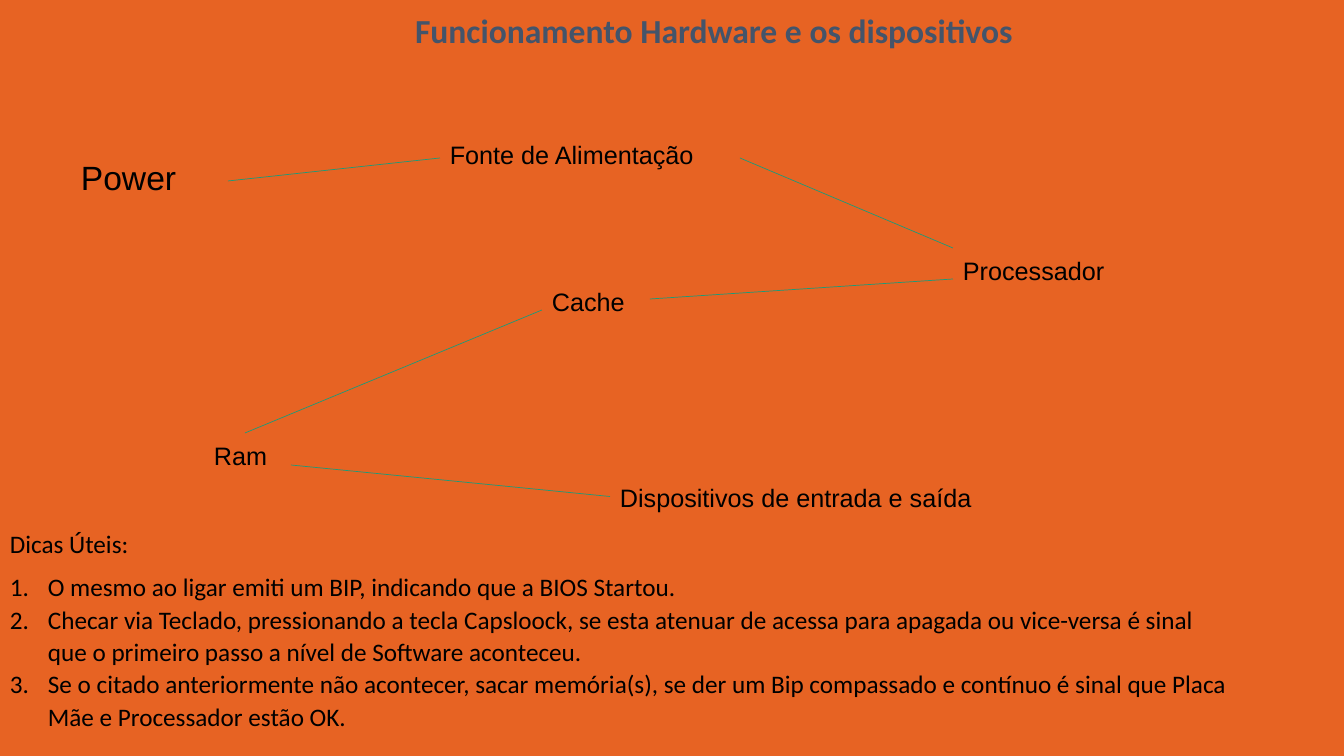
"""Build the slide on how hardware and its devices work."""
from lxml.etree import SubElement
from pptx import Presentation
from pptx.dml.color import RGBColor as RGB
from pptx.enum.shapes import MSO_CONNECTOR as LINE
from pptx.enum.text import MSO_ANCHOR as ANCHOR, MSO_AUTO_SIZE as AUTO, PP_ALIGN as ALIGN
from pptx.oxml.ns import qn
from pptx.util import Pt

HUE = {"back": "E76323", "title": "44546A", "text": "000000", "line": "1D9A78"}
TITLE = ("Funcionamento Hardware e os dispositivos", (405, 5, 694, 30))
NODES = {
    "Power": (71, 149, 131, 51, 24),
    "Fonte de Alimentação": (440, 132, 299, 43, 18),
    "Processador": (953, 248, 179, 41, 18),
    "Cache": (542, 279, 96, 41, 18),
    "Ram": (204, 433, 82, 41, 18),
    "Dispositivos de entrada e saída": (610, 475, 420, 43, 18),
}
LINKS = [
    ((228, 181, 440, 158), None),
    ((740, 158, 953, 248), None),
    ((953, 279, 650, 299), None),
    ((542, 310, 244, 433), ("Ram", 0)),
    ((291, 465, 610, 497), ("Dispositivos de entrada e saída", 1)),
]
AREA = (0, 521, 1242, 218)
HEAD = "Dicas Úteis:"
TIPS = [
    "O mesmo ao ligar emiti um BIP, indicando que a BIOS Startou.",
    "Checar via Teclado, pressionando a tecla Capsloock, se esta atenuar de acessa para "
    "apagada ou vice-versa é sinal que o primeiro passo a nível de Software aconteceu.",
    "Se o citado anteriormente não acontecer, sacar memória(s), se der um Bip compassado "
    "e contínuo é sinal que Placa Mãe e Processador estão OK.",
]
INDENT = 38
SCALE = 12192000 / 1344


def px(num):
    return round(num * SCALE)


def put(item, form):
    for key, val in form.items():
        setattr(item, key, val)


def write(para, text, size, face, hue="text", bold=False, after=8, lead=1.07):
    para.text = text
    put(para, {"alignment": ALIGN.LEFT, "line_spacing": lead,
               "space_before": Pt(0), "space_after": Pt(after)})
    put(para.font, {"name": face, "size": Pt(size), "bold": bold})
    para.font.color.rgb = RGB.from_string(HUE[hue])


def number(para):
    prop = para._p.get_or_add_pPr()
    prop.set("marL", str(px(INDENT)))
    prop.set("indent", str(-px(INDENT)))
    SubElement(prop, qn("a:buFont"), typeface="+mj-lt")
    SubElement(prop, qn("a:buAutoNum"), type="arabicPeriod")


def add_box(slide, at, wrap):
    frame = slide.shapes.add_textbox(*map(px, at))
    put(frame.text_frame, {"word_wrap": wrap, "auto_size": AUTO.SHAPE_TO_FIT_TEXT})
    return frame


def add_title(slide):
    text, at = TITLE
    title = slide.shapes.title
    put(title, dict(zip(("left", "top", "width", "height"), map(px, at))))
    put(title.text_frame, {"vertical_anchor": ANCHOR.TOP, "auto_size": AUTO.NONE,
                           "word_wrap": True})
    write(title.text_frame.paragraphs[0], text, 24, "Calibri", "title", True, 0, 1.0)


def add_flow(slide):
    boxes = {}
    for text, (*at, size) in NODES.items():
        boxes[text] = add_box(slide, at, False)
        write(boxes[text].text_frame.paragraphs[0], text, size, "Arial")
    for ends, join in LINKS:
        line = slide.shapes.add_connector(LINE.STRAIGHT, *map(px, ends))
        line.line.width = Pt(0.5)
        line.line.color.rgb = RGB.from_string(HUE["line"])
        SubElement(line._element.spPr, qn("a:effectLst"))
        if join:
            name, side = join
            line.end_connect(boxes[name], side)


def add_tips(slide):
    frame = add_box(slide, AREA, True).text_frame
    write(frame.paragraphs[0], HEAD, 18, "Calibri")
    for tip in TIPS:
        para = frame.add_paragraph()
        number(para)
        write(para, tip, 18, "Calibri", after=8 if tip == TIPS[-1] else 0)


def main():
    deck = Presentation()
    put(deck, {"slide_width": px(1344), "slide_height": px(756)})
    slide = deck.slides.add_slide(deck.slide_layouts[5])
    fill = slide.background.fill
    fill.solid()
    fill.fore_color.rgb = RGB.from_string(HUE["back"])
    add_title(slide)
    add_flow(slide)
    add_tips(slide)
    deck.save("out.pptx")


if __name__ == "__main__":
    main()
